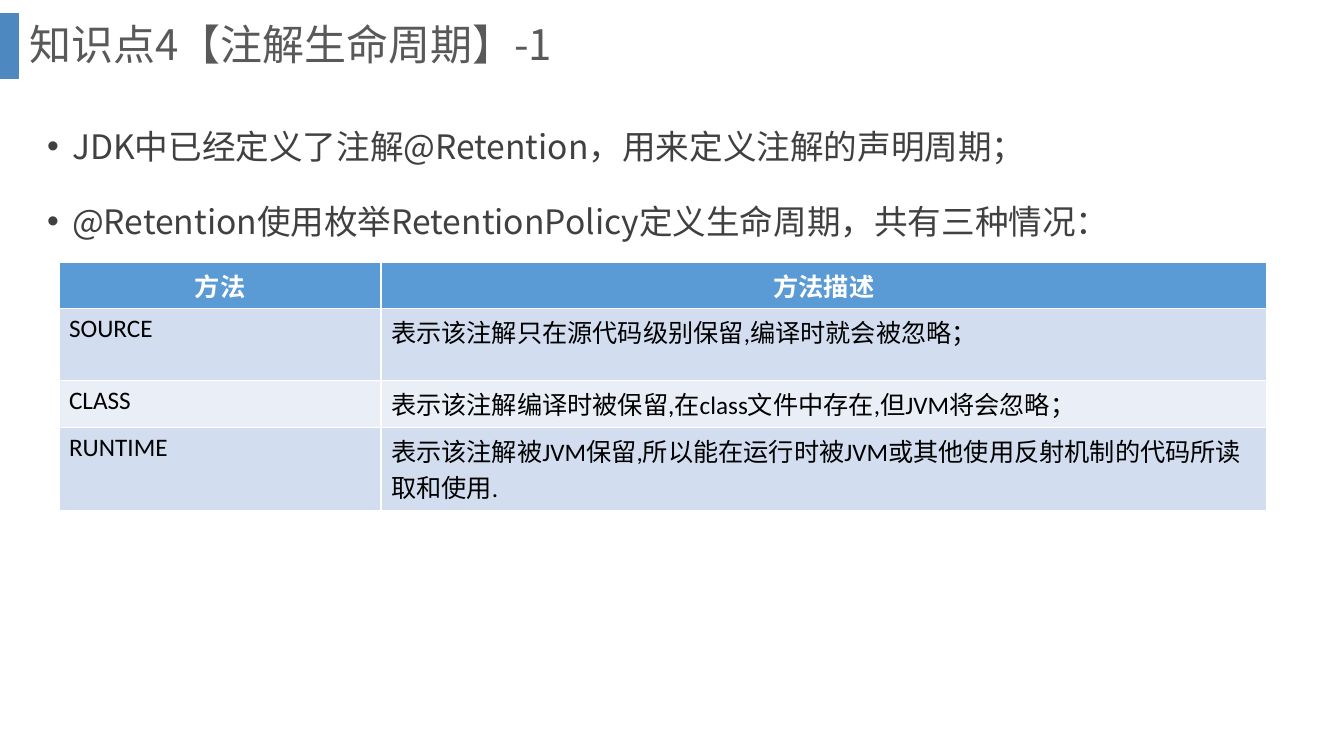
from dataclasses import dataclass

from lxml import etree
from pptx import Presentation
from pptx import util as u
from pptx.dml.color import RGBColor
from pptx.enum import shapes, text
from pptx.oxml import ns


@dataclass(frozen=True)
class Theme:
    cjk_font: str = "Noto Sans CJK SC"
    table_font: str = "Calibri"
    title_size: int = 30
    body_size: int = 24
    table_size: int = 18
    title_color: str = "595959"
    body_color: str = "404040"
    header_color: str = "FFFFFF"
    cell_color: str = "000000"
    accent: str = "2E75B6"
    accent_opacity: int = 85
    header_fill: str = "5B9BD5"
    band_fills: tuple[str, str] = ("D2DEEF", "EAEFF7")


@dataclass(frozen=True)
class Box:
    left: int
    top: int
    width: int
    height: int

    def emu(self) -> tuple[u.Emu, ...]:
        return tuple(px(n) for n in (self.left, self.top, self.width, self.height))


@dataclass(frozen=True)
class Row:
    method: str
    description: str
    height: int


THEME = Theme()
PX_PER_INCH = 100.8
SLIDE_WIDTH, SLIDE_HEIGHT = 1344, 756
ACCENT_BOX = Box(0, 13, 19, 66)
TITLE_BOX = Box(19, 0, 1276, 94)
BODY_BOX = Box(37, 101, 1215, 182)
BULLET_INDENT = 25
TABLE_LEFT, TABLE_TOP = 59, 262
COLUMN_WIDTHS = (322, 886)

TITLE = "知识点4【注解生命周期】-1"
BULLETS = (
    "JDK中已经定义了注解@Retention，用来定义注解的声明周期；",
    "@Retention使用枚举RetentionPolicy定义生命周期，共有三种情况：",
)
ROWS = (
    Row("方法", "方法描述", 46),
    Row("SOURCE", "表示该注解只在源代码级别保留,编译时就会被忽略；", 72),
    Row("CLASS", "表示该注解编译时被保留,在class文件中存在,但JVM将会忽略；", 46),
    Row("RUNTIME", "表示该注解被JVM保留,所以能在运行时被JVM或其他使用反射机制的代码所读取和使用.", 82),
)


def px(length: int) -> u.Emu:
    return u.Emu(round(length * u.Inches(1) / PX_PER_INCH))


def style_font(paragraph, name: str, size: int, color: str, bold: bool = False) -> None:
    font = paragraph.font
    font.name, font.size, font.bold = name, u.Pt(size), bold
    font.color.rgb = RGBColor.from_string(color)
    east_asian = etree.SubElement(font._element, ns.qn("a:ea"))
    east_asian.set("typeface", THEME.cjk_font)


def place(shape, box: Box) -> None:
    shape.left, shape.top, shape.width, shape.height = box.emu()


def add_accent(slide) -> None:
    accent = slide.shapes.add_shape(shapes.MSO_SHAPE.RECTANGLE, *ACCENT_BOX.emu())
    accent.shadow.inherit = False
    accent.line.fill.background()
    accent.fill.solid()
    accent.fill.fore_color.rgb = RGBColor.from_string(THEME.accent)
    color = accent._element.spPr.find(".//" + ns.qn("a:srgbClr"))
    etree.SubElement(color, ns.qn("a:alpha")).set("val", str(THEME.accent_opacity * 1000))


def fill_title(title) -> None:
    place(title, TITLE_BOX)
    frame = title.text_frame
    frame.text = TITLE
    frame.auto_size = text.MSO_AUTO_SIZE.NONE
    frame.vertical_anchor = text.MSO_ANCHOR.MIDDLE
    paragraph = frame.paragraphs[0]
    paragraph.alignment = text.PP_ALIGN.LEFT
    paragraph.line_spacing = 0.9
    style_font(paragraph, THEME.cjk_font, THEME.title_size, THEME.title_color)


def fill_body(body) -> None:
    place(body, BODY_BOX)
    frame = body.text_frame
    frame.text = "\n".join(BULLETS)
    frame.auto_size = text.MSO_AUTO_SIZE.NONE
    for paragraph in frame.paragraphs:
        paragraph.line_spacing = 1.5
        paragraph.space_before = u.Pt(10)
        properties = paragraph._p.get_or_add_pPr()
        properties.set("marL", str(px(BULLET_INDENT)))
        properties.set("indent", str(-px(BULLET_INDENT)))
        style_font(paragraph, THEME.cjk_font, THEME.body_size, THEME.body_color)


def add_policy_table(slide) -> None:
    box = Box(TABLE_LEFT, TABLE_TOP, sum(COLUMN_WIDTHS), sum(row.height for row in ROWS))
    table = slide.shapes.add_table(len(ROWS), len(COLUMN_WIDTHS), *box.emu()).table
    for column, width in zip(table.columns, COLUMN_WIDTHS):
        column.width = px(width)
    for index, row in enumerate(ROWS):
        table.rows[index].height = px(row.height)
        header = index == 0
        fill = THEME.header_fill if header else THEME.band_fills[(index - 1) % 2]
        color = THEME.header_color if header else THEME.cell_color
        for cell, content in zip(table.rows[index].cells, (row.method, row.description)):
            cell.text = content
            cell.fill.solid()
            cell.fill.fore_color.rgb = RGBColor.from_string(fill)
            paragraph = cell.text_frame.paragraphs[0]
            paragraph.alignment = text.PP_ALIGN.CENTER if header else text.PP_ALIGN.LEFT
            style_font(paragraph, THEME.table_font, THEME.table_size, color, header)


def main() -> None:
    presentation = Presentation()
    presentation.slide_width = px(SLIDE_WIDTH)
    presentation.slide_height = px(SLIDE_HEIGHT)
    slide = presentation.slides.add_slide(presentation.slide_layouts[1])

    # Heading with its accent bar
    add_accent(slide)
    fill_title(slide.shapes.title)

    # Bullets and retention policy table
    fill_body(slide.placeholders[1])
    add_policy_table(slide)

    presentation.save("out.pptx")


if __name__ == "__main__":
    main()
